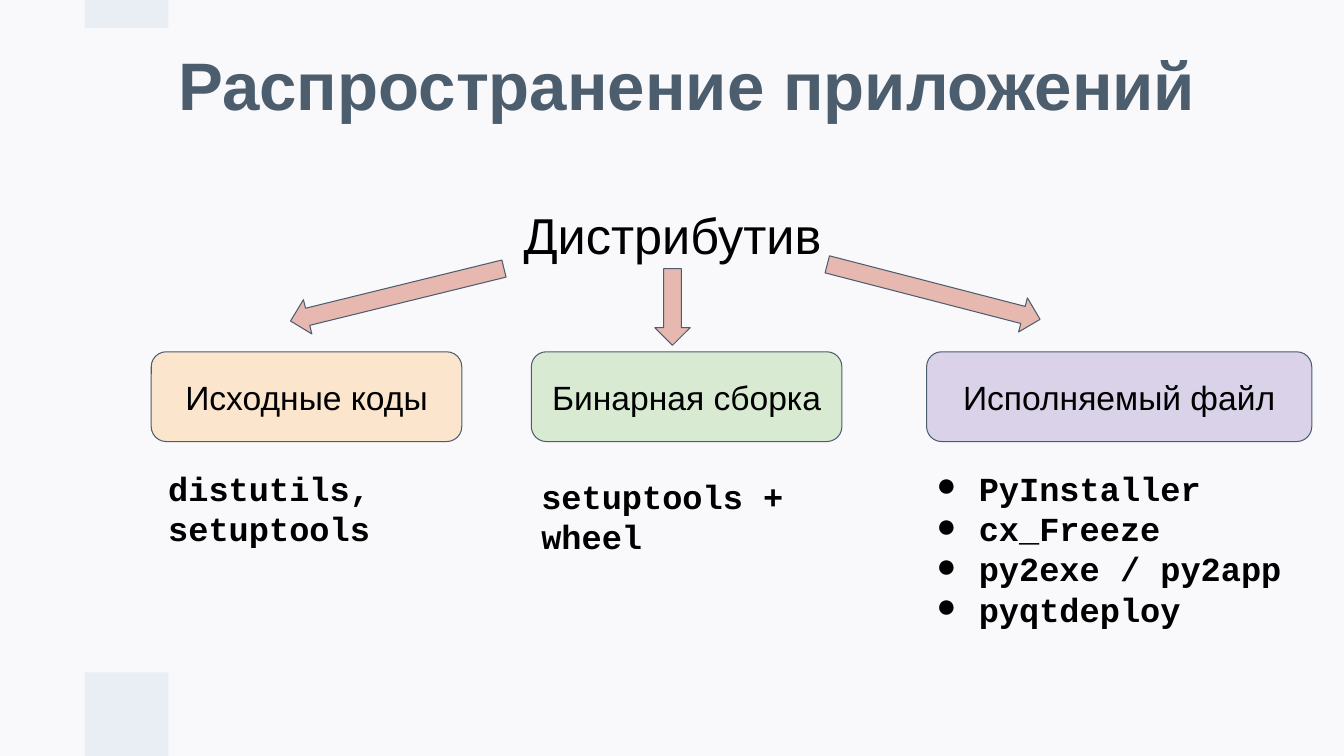
import pptx
import pptx.dml.color
import pptx.enum.shapes
import pptx.enum.text
import pptx.oxml.ns
import pptx.util
from lxml import etree

PX = 9144  # EMU per px, 100 px to the inch
SHAPE = pptx.enum.shapes.MSO_SHAPE
ALIGN = pptx.enum.text.PP_ALIGN
ANCHOR = pptx.enum.text.MSO_ANCHOR

COLORS = {
    "background": "F9F9FB",
    "band": "E9EDF4",
    "slate": "4C5D6E",
    "black": "000000",
    "peach": "FCE5CD",
    "green": "D9EAD3",
    "violet": "D9D2E9",
    "arrow": "E6B8AF",
}


def rgb(name):
    return pptx.dml.color.RGBColor.from_string(COLORS[name])


class Deck:
    """Holds the presentation, its text styles and the current slide."""

    SANS = "Arial"
    MONO = "Courier New"

    def __init__(self, width, height):
        self.prs = pptx.Presentation()
        self.prs.slide_width = width * PX
        self.prs.slide_height = height * PX
        self.slide = self.prs.slides.add_slide(self.prs.slide_layouts[6])
        fill = self.slide.background.fill
        fill.solid()
        fill.fore_color.rgb = rgb("background")

    def shape(self, kind, box, fill, line=None):
        sp = self.slide.shapes.add_shape(kind, *(n * PX for n in box))
        sp.shadow.inherit = False
        sp.fill.solid()
        sp.fill.fore_color.rgb = rgb(fill)
        if line:
            sp.line.color.rgb = rgb(line)
            sp.line.width = pptx.util.Pt(0.75)
        else:
            sp.line.fill.background()
        return sp

    def set_text(self, sp, text, size, font=SANS, color="black", bold=False,
                 align=ALIGN.LEFT, anchor=ANCHOR.TOP, inset=10):
        tf = sp.text_frame
        tf.word_wrap = True
        tf.vertical_anchor = anchor
        tf.margin_left = tf.margin_right = 10 * PX
        tf.margin_top = tf.margin_bottom = inset * PX
        tf.text = text
        for p in tf.paragraphs:
            p.alignment = align
            for r in p.runs:
                r.font.name = font
                r.font.size = pptx.util.Pt(size)
                r.font.bold = bold
                r.font.color.rgb = rgb(color)
        return tf

    def text(self, box, text, size, **style):
        sp = self.slide.shapes.add_textbox(*(n * PX for n in box))
        return self.set_text(sp, text, size, **style)

    def card(self, box, label, fill):
        sp = self.shape(SHAPE.ROUNDED_RECTANGLE, box, fill, "slate")
        self.set_text(sp, label, 24, align=ALIGN.CENTER, anchor=ANCHOR.MIDDLE)

    def arrow(self, box, rotation):
        sp = self.shape(SHAPE.LEFT_ARROW, box, "arrow", "slate")
        sp.rotation = rotation

    def tools(self, box, names, bulleted=False):
        tf = self.text(box, "\n".join(names), 24, font=self.MONO, bold=True)
        if bulleted:
            for p in tf.paragraphs:
                self.bullet(p)

    def bullet(self, p):
        qn = pptx.oxml.ns.qn
        pPr = p._p.get_or_add_pPr()
        pPr.set("marL", str(50 * PX))
        pPr.set("indent", str(-42 * PX))
        color = etree.SubElement(pPr, qn("a:buClr"))
        etree.SubElement(color, qn("a:srgbClr"), val=COLORS["black"])
        etree.SubElement(pPr, qn("a:buFont"), typeface=self.MONO)
        etree.SubElement(pPr, qn("a:buChar"), char="●")


def main():
    deck = Deck(1333, 750)

    for top, height in ((0, 28), (667, 83)):
        deck.shape(SHAPE.RECTANGLE, (84, top, 83, height), "band")

    title = deck.text((167, 6, 1079, 165), "Распространение приложений", 48,
                      color="slate", bold=True, anchor=ANCHOR.MIDDLE, inset=5)
    title.paragraphs[0].line_spacing = 0.9
    deck.text((498, 193, 338, 53), "Дистрибутив", 36, align=ALIGN.CENTER)

    for left, width, label, fill in (
        (150, 308, "Исходные коды", "peach"),
        (527, 308, "Бинарная сборка", "green"),
        (919, 382, "Исполняемый файл", "violet"),
    ):
        deck.card((left, 349, width, 89), label, fill)

    for left, top, length, rotation in (
        (285, 275, 218, 346.2),
        (817, 272, 218, 194.5),
        (629, 287, 76, 270),
    ):
        deck.arrow((left, top, length, 35), rotation)

    deck.tools((157, 454, 235, 76), ["distutils,", "setuptools"])
    deck.tools((527, 462, 295, 76), ["setuptools + wheel"])
    deck.tools((911, 454, 397, 175),
               ["PyInstaller", "cx_Freeze", "py2exe / py2app", "pyqtdeploy"],
               bulleted=True)

    deck.prs.save("out.pptx")


if __name__ == "__main__":
    main()
